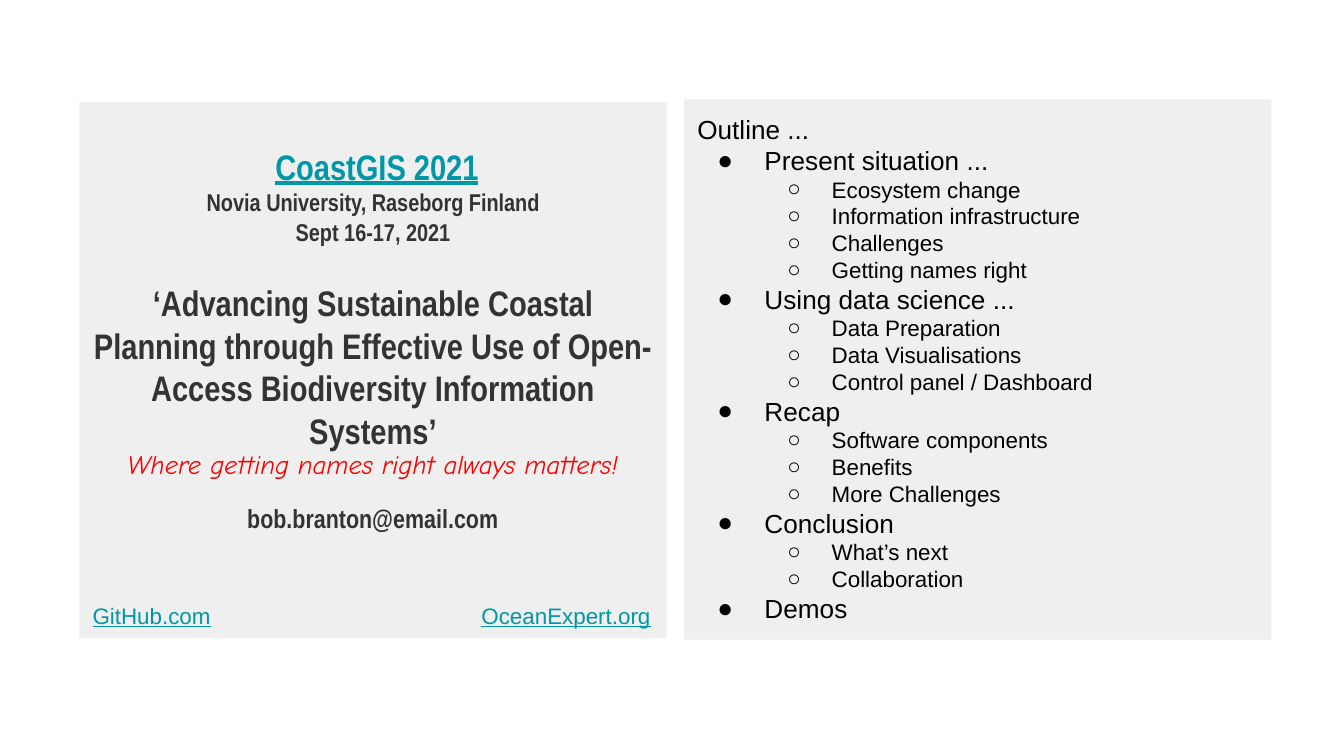
"""Build the conference title and outline slide."""
from dataclasses import dataclass

from lxml.etree import SubElement
from pptx import Presentation
from pptx.dml.color import RGBColor
from pptx.enum.shapes import MSO_SHAPE as Preset
from pptx.enum.text import MSO_ANCHOR as Anchor, PP_ALIGN as Align
from pptx.oxml.ns import qn
from pptx.util import Inches, Pt


@dataclass(frozen=True)
class Theme:
    panel: str = "EFEFEF"
    black: str = "000000"
    dark: str = "333333"
    link: str = "0097A7"
    accent: str = "FF0000"
    body_font: str = "Arial"
    title_font: str = "Arial Narrow"
    motto_font: str = "Comic Neue"
    title_size: float = 19
    topic_size: float = 14
    detail_size: float = 13
    small_size: float = 12
    motto_size: float = 14.3


@dataclass(frozen=True)
class Box:
    left: float
    top: float
    width: float
    height: float


@dataclass(frozen=True)
class BulletStyle:
    symbol: str
    margin: float
    hanging: float
    size: float


@dataclass(frozen=True)
class Topic:
    title: str
    details: tuple[str, ...] = ()


@dataclass(frozen=True)
class TitleLine:
    text: str
    size: float
    color: str = Theme.dark
    font: str = Theme.title_font
    bold: bool = True
    italic: bool = False
    underline: bool = False
    lead: str = ""
    before: float = 0
    spacing: float = 1


THEME = Theme()
TOPIC_BULLET = BulletStyle("●", 0.5, 0.35, THEME.topic_size)
DETAIL_BULLET = BulletStyle("○", 1, 0.33, THEME.small_size)

OUTLINE = (
    Topic("Present situation ...", (
        "Ecosystem change", "Information infrastructure",
        "Challenges", "Getting names right")),
    Topic("Using data science ...", (
        "Data Preparation", "Data Visualisations", "Control panel / Dashboard")),
    Topic("Recap", ("Software components", "Benefits", "More Challenges")),
    Topic("Conclusion", ("What’s next", "Collaboration")),
    Topic("Demos"),
)

TITLE_LINES = (
    TitleLine("CoastGIS 2021", THEME.title_size, THEME.link, underline=True, lead=" "),
    TitleLine("Novia University, Raseborg Finland", THEME.detail_size),
    TitleLine("Sept 16-17, 2021", THEME.detail_size),
    TitleLine("‘Advancing Sustainable Coastal Planning through Effective Use of "
              "Open-Access Biodiversity Information Systems’",
              THEME.title_size, before=19),
    TitleLine("Where getting names right always matters!", THEME.motto_size,
              THEME.accent, THEME.motto_font, bold=False, italic=True, spacing=0.9),
    TitleLine("bob.branton@email.com", THEME.topic_size, before=11.5),
)


def set_frame(frame, top_inset: float = 0.1) -> None:
    """Wrap a text frame and give it its insets."""
    frame.word_wrap = True
    frame.vertical_anchor = Anchor.TOP
    frame.margin_left = frame.margin_right = frame.margin_bottom = Inches(0.1)
    frame.margin_top = Inches(top_inset)


def add_panel(slide, box: Box, top_inset: float = 0.1):
    """Add a flat grey panel and return its text frame."""
    shape = slide.shapes.add_shape(
        Preset.RECTANGLE, Inches(box.left), Inches(box.top),
        Inches(box.width), Inches(box.height))
    shape.shadow.inherit = False
    shape.fill.solid()
    shape.fill.fore_color.rgb = RGBColor.from_string(THEME.panel)
    shape.line.fill.background()
    set_frame(shape.text_frame, top_inset)
    return shape.text_frame


def set_bullet(paragraph, style: BulletStyle) -> None:
    """Give a paragraph a hanging bullet."""
    properties = paragraph._p.get_or_add_pPr()
    properties.set("marL", str(Inches(style.margin)))
    properties.set("indent", str(-Inches(style.hanging)))
    color = SubElement(properties, qn("a:buClr"))
    SubElement(color, qn("a:srgbClr"), val=THEME.black)
    SubElement(properties, qn("a:buFont"), typeface=THEME.body_font)
    SubElement(properties, qn("a:buChar"), char=style.symbol)


def add_text(frame, text: str, *, size: float, color: str = THEME.black,
             font: str = THEME.body_font, bold: bool = False, italic: bool = False,
             underline: bool = False, lead: str = "", align: Align = Align.LEFT,
             before: float = 0, spacing: float = 1,
             bullet: BulletStyle | None = None) -> None:
    """Write one formatted paragraph, with an optional lead that is not underlined."""
    first = frame.paragraphs[0]
    paragraph = frame.add_paragraph() if first.runs else first
    if bullet:
        set_bullet(paragraph, bullet)
    paragraph.alignment = align
    paragraph.line_spacing = spacing
    if before:
        paragraph.space_before = Pt(before)
    for part, underlined in ((lead, False), (text, underline)):
        if not part:
            continue
        run = paragraph.add_run()
        run.text = part
        run.font.name = font
        run.font.size = Pt(size)
        run.font.bold = bold
        run.font.italic = italic
        run.font.underline = underlined
        run.font.color.rgb = RGBColor.from_string(color)


def add_outline(slide, box: Box) -> None:
    """Add the panel that lists topics and their details."""
    frame = add_panel(slide, box)
    add_text(frame, "Outline ...", size=THEME.topic_size)
    for topic in OUTLINE:
        add_text(frame, topic.title, size=TOPIC_BULLET.size, bullet=TOPIC_BULLET)
        for detail in topic.details:
            add_text(frame, detail, size=DETAIL_BULLET.size, bullet=DETAIL_BULLET)


def add_title(slide, box: Box) -> None:
    """Add the panel with the event, talk title and contact."""
    frame = add_panel(slide, box, top_inset=0.32)
    for line in TITLE_LINES:
        add_text(frame, line.text, size=line.size, color=line.color, font=line.font,
                 bold=line.bold, italic=line.italic, underline=line.underline,
                 lead=line.lead, align=Align.CENTER, before=line.before,
                 spacing=line.spacing)


def add_site(slide, text: str, box: Box, align: Align) -> None:
    """Add an underlined site name."""
    text_box = slide.shapes.add_textbox(
        Inches(box.left), Inches(box.top), Inches(box.width), Inches(box.height))
    set_frame(text_box.text_frame)
    add_text(text_box.text_frame, text, size=THEME.small_size, color=THEME.link,
             underline=True, align=align)


def main() -> None:
    """Build and save the presentation."""
    presentation = Presentation()
    presentation.slide_width = Inches(10)
    presentation.slide_height = Inches(10 * 9 / 16)
    slide = presentation.slides.add_slide(presentation.slide_layouts[6])
    add_outline(slide, Box(5.09, 0.74, 4.37, 4.02))
    add_title(slide, Box(0.59, 0.76, 4.37, 3.99))
    add_site(slide, "OceanExpert.org", Box(3.44, 4.38, 1.5, 0.4), Align.RIGHT)
    add_site(slide, "GitHub.com", Box(0.59, 4.38, 1.12, 0.4), Align.LEFT)
    presentation.save("out.pptx")


if __name__ == "__main__":
    main()
